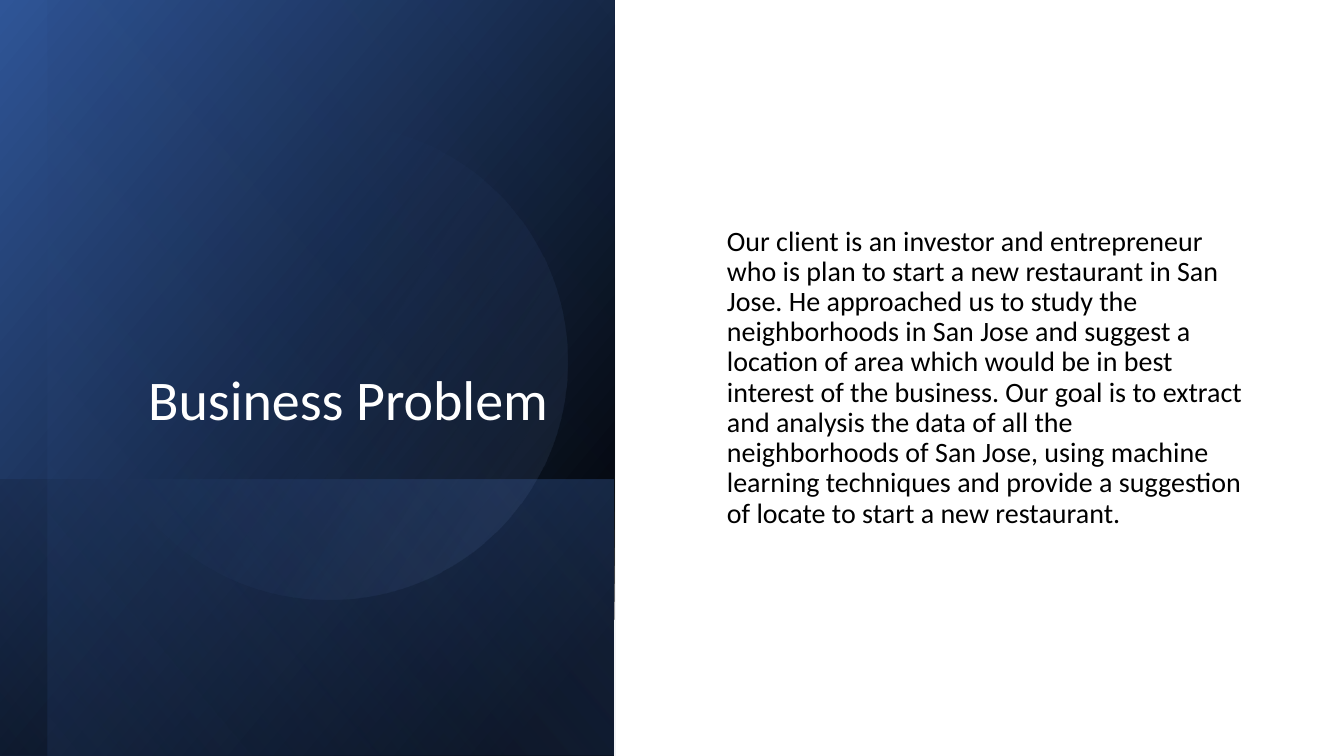
from lxml import etree
from pptx import Presentation
from pptx import util as u
from pptx.dml.color import RGBColor
from pptx.enum import shapes, text
from pptx.oxml import ns

PX = 914400 / 100.8
COLORS = {"black": "000000", "white": "FFFFFF", "navy": "2F5597",
          "blue": "4472C4", "pale": "8FAADC"}
FONT = "Calibri"
TITLE = "Business Problem"
PROBLEM = (
    "Our client is an investor and entrepreneur who is plan to start a new "
    "restaurant in San Jose. He approached us to study the neighborhoods in "
    "San Jose and suggest a location of area which would be in best interest "
    "of the business. Our goal is to extract and analysis the data of all the "
    "neighborhoods of San Jose, using machine learning techniques and provide "
    "a suggestion of locate to start a new restaurant."
)


def px(*lengths):
    """Turn pixel lengths into EMU."""
    return [u.Emu(round(length * PX)) for length in lengths]


def add_child(parent, tag, **attributes):
    """Append a DrawingML element with the given attributes."""
    values = {name: str(value) for name, value in attributes.items()}
    return etree.SubElement(parent, ns.qn(f"a:{tag}"), values)


def gradient_fill(stops, angle):
    """Build a linear gradient from (position, colour, opacity) stops."""
    gradient = etree.Element(ns.qn("a:gradFill"), rotWithShape="1")
    stop_list = add_child(gradient, "gsLst")
    for position, color, opacity in stops:
        stop = add_child(stop_list, "gs", pos=position * 1000)
        tint = add_child(stop, "srgbClr", val=COLORS[color])
        if opacity < 100:
            add_child(tint, "alpha", val=opacity * 1000)
    add_child(gradient, "lin", ang=angle * 60000, scaled=0)
    return gradient


def add_glow(slide, kind, box, rotation, stops, angle, flip=False):
    """Add a rotated, borderless shape with a gradient fill."""
    glow = slide.shapes.add_shape(kind, *px(*box))
    glow.rotation = rotation
    glow.shadow.inherit = False
    glow.line.fill.background()
    properties = glow._element.spPr
    if flip:
        properties.xfrm.set("flipH", "1")
    properties.find(ns.qn("a:prstGeom")).addnext(gradient_fill(stops, angle))


def add_copy(slide, box, wording, size, color, anchor, align):
    """Add a wrapped text box holding one paragraph."""
    frame = slide.shapes.add_textbox(*px(*box)).text_frame
    frame.word_wrap = True
    frame.vertical_anchor = anchor
    paragraph = frame.paragraphs[0]
    paragraph.alignment = align
    paragraph.line_spacing = 0.9
    run = paragraph.add_run()
    run.text = wording
    run.font.name = FONT
    run.font.size = u.Pt(size)
    run.font.color.rgb = RGBColor.from_string(COLORS[color])


def main():
    """Build the business problem slide."""
    deck = Presentation()
    deck.slide_width, deck.slide_height = px(1344, 756)
    slide = deck.slides.add_slide(deck.slide_layouts[6])

    panels = [
        ((-71, 71, 756, 615), [(8, "black", 100), (100, "navy", 100)], 50),
        ((168, 310, 276, 615), [(2, "blue", 29), (100, "black", 30)], 130),
        ((-46, 94, 756, 568), [(0, "black", 0), (99, "blue", 11)], 130),
    ]
    for box, stops, angle in panels:
        add_glow(slide, shapes.MSO_SHAPE.RECTANGLE, box, 90, stops, angle, flip=True)
    add_glow(slide, shapes.MSO_SHAPE.OVAL, (91, 124, 476, 476), 101.6,
             [(39, "blue", 0), (100, "pale", 15)], 290)

    add_copy(slide, (91, 65, 467, 373), TITLE, 40, "white",
             text.MSO_ANCHOR.BOTTOM, text.PP_ALIGN.RIGHT)
    add_copy(slide, (717, 72, 536, 612), PROBLEM, 20, "black",
             text.MSO_ANCHOR.MIDDLE, text.PP_ALIGN.LEFT)
    deck.save("out.pptx")


if __name__ == "__main__":
    main()
